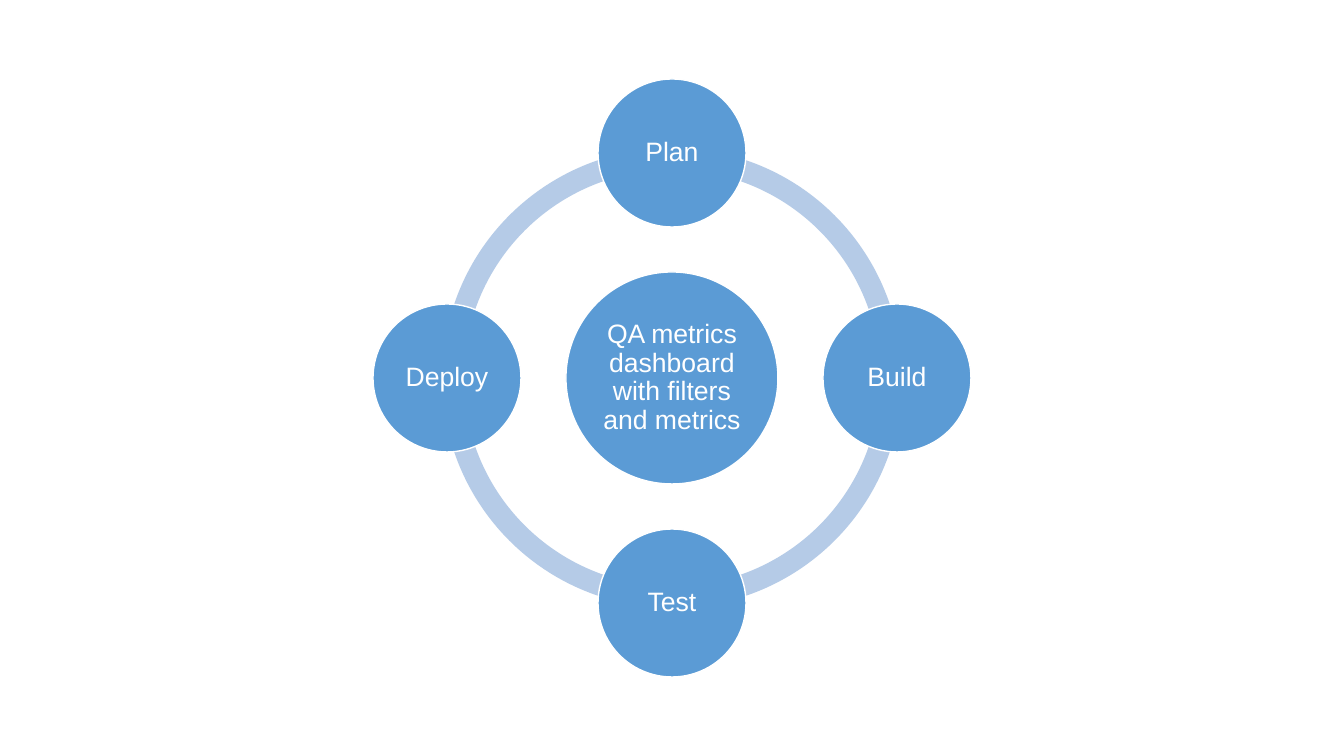
from math import cos, radians, sin

from pptx import Presentation
from pptx.dml.color import RGBColor
from pptx.enum.shapes import MSO_SHAPE
from pptx.enum.text import MSO_ANCHOR, PP_ALIGN
from pptx.util import Emu, Pt

PX = 914400 / 100.8
COLORS = {"node": "5B9BD5", "ring": "B5CBE7", "white": "FFFFFF"}
FONT = "Arial"
CENTER_X, CENTER_Y = 672, 378
ORBIT = 225
RING_SIZE, HUB_SIZE, STAGE_SIZE = 460, 212, 148
RING_THICKNESS = 0.047
HUB = "QA metrics dashboard with filters and metrics"
STAGES = ["Plan", "Build", "Test", "Deploy"]


def px(n):
    return Emu(round(n * PX))


def color(name):
    return RGBColor.from_string(COLORS[name])


def add_round(shapes, kind, x, y, size, fill):
    """Add a square-framed shape centred on x, y."""
    sp = shapes.add_shape(kind, px(x - size / 2), px(y - size / 2), px(size), px(size))
    sp.shadow.inherit = False
    sp.fill.solid()
    sp.fill.fore_color.rgb = color(fill)
    return sp


def add_arc(shapes, start):
    """Add a quarter of the ring, from a start angle in degrees."""
    sp = add_round(shapes, MSO_SHAPE.BLOCK_ARC, CENTER_X, CENTER_Y, RING_SIZE, "ring")
    sp.line.fill.background()
    # Angles are stored in 60000ths of a degree, adjustments in 100000ths
    sp.adjustments[0] = start * 0.6
    sp.adjustments[1] = (start + 90) % 360 * 0.6
    sp.adjustments[2] = RING_THICKNESS


def add_node(shapes, x, y, size, text):
    sp = add_round(shapes, MSO_SHAPE.OVAL, x, y, size, "node")
    sp.line.color.rgb = color("white")
    sp.line.width = Pt(1)
    tf = sp.text_frame
    tf.word_wrap = True
    tf.vertical_anchor = MSO_ANCHOR.MIDDLE
    tf.margin_left = tf.margin_right = tf.margin_top = tf.margin_bottom = px(3)
    p = tf.paragraphs[0]
    p.alignment = PP_ALIGN.CENTER
    p.line_spacing = 0.9
    p.space_after = Pt(8)
    r = p.add_run()
    r.text = text
    r.font.name = FONT
    r.font.size = Pt(19)
    r.font.color.rgb = color("white")


def main():
    prs = Presentation()
    prs.slide_width, prs.slide_height = px(1344), px(756)
    s = prs.slides.add_slide(prs.slide_layouts[6])
    shapes = s.shapes.add_group_shape().shapes

    # Ring behind the nodes
    for start in (180, 90, 0, 270):
        add_arc(shapes, start)

    # Hub, then the stages clockwise from the top
    add_node(shapes, CENTER_X, CENTER_Y, HUB_SIZE, HUB)
    for i, stage in enumerate(STAGES):
        angle = radians(i * 360 / len(STAGES) - 90)
        x, y = CENTER_X + ORBIT * cos(angle), CENTER_Y + ORBIT * sin(angle)
        add_node(shapes, x, y, STAGE_SIZE, stage)

    prs.save("out.pptx")


if __name__ == "__main__":
    main()
